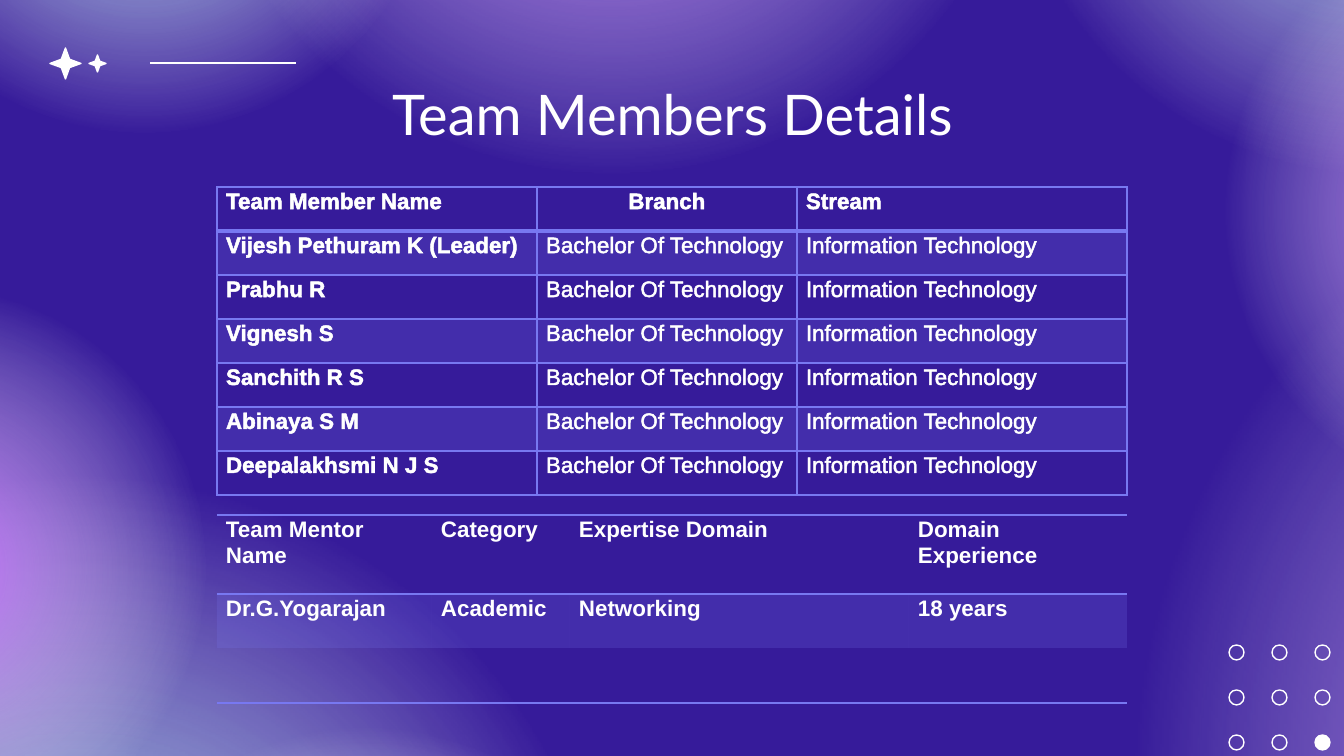
from lxml import etree
from pptx import Presentation
from pptx import util as u
from pptx.dml.color import RGBColor
from pptx.enum import shapes, text
from pptx.oxml import ns

PX = 914400 / 134.4
INDIGO = RGBColor(0x36, 0x1B, 0x9A)
PERIWINKLE = RGBColor(0x78, 0x78, 0xF1)
AQUA = RGBColor(0x9A, 0xDE, 0xE7)
VIOLET = RGBColor(0xC5, 0x68, 0xFF)
WHITE = RGBColor(0xFF, 0xFF, 0xFF)

GLOWS = [
    (-582, 348, 1324, 1324, AQUA, 57),
    (829, -567, 1101, 730, AQUA, 57),
    (0, 657, 734, 734, AQUA, 57),
    (1027, 0, 1571, 1571, VIOLET, 61),
    (116, -749, 991, 991, VIOLET, 61),
    (-403, 242, 653, 653, VIOLET, 61),
    (-223, -530, 734, 734, AQUA, 57),
    (1177, -137, 695, 695, VIOLET, 61),
]
MEMBERS = [
    "Vijesh Pethuram K (Leader)", "Prabhu R", "Vignesh S",
    "Sanchith R S", "Abinaya S M", "Deepalakhsmi N J S",
]
MEMBER_ROWS = [["Team Member Name", "Branch", "Stream"]] + [
    [name, "Bachelor Of Technology", "Information Technology"] for name in MEMBERS
]
MENTOR_ROWS = [
    ["Team Mentor Name", "Category", "Expertise Domain", "Domain Experience"],
    ["Dr.G.Yogarajan", "Academic", "Networking", "18 years"],
    [""] * 4,
]


def px(*lengths):
    return [u.Emu(round(length * PX)) for length in lengths]


def add_xml(parent, tag, **attributes):
    return etree.SubElement(parent, ns.qn(tag), attributes)


def add_line_xml(parent, index, tag, points, color):
    line = etree.Element(ns.qn(tag), w=str(u.Pt(points)))
    if points:
        add_xml(add_xml(line, "a:solidFill"), "a:srgbClr", val=str(color))
    else:
        add_xml(line, "a:noFill")
    parent.insert(index, line)


def write(frame, words, font="Arial", size=12, bold=False, color=WHITE,
          align=text.PP_ALIGN.LEFT, spacing=1.0, after=0, outline=0):
    para = frame.paragraphs[0]
    para.alignment = align
    para.line_spacing = spacing
    para.space_before = u.Pt(0)
    para.space_after = u.Pt(after)
    span = para.add_run()
    span.text = words
    span.font.name = font
    span.font.size = u.Pt(size)
    span.font.bold = bold
    span.font.color.rgb = color
    if outline:
        add_line_xml(span.font._element, 0, "a:ln", outline, color)


def add_plain(page, kind, box, fill=None, line=None):
    shape = page.shapes.add_shape(kind, *px(*box))
    shape.shadow.inherit = False
    if fill is None:
        shape.fill.background()
    else:
        shape.fill.solid()
        shape.fill.fore_color.rgb = fill
    if line is None:
        shape.line.fill.background()
    else:
        shape.line.color.rgb = line
        shape.line.width = u.Pt(0.75)
    return shape


def add_glows(page, left, top):
    for x, y, width, height, color, fade in GLOWS:
        glow = add_plain(page, shapes.MSO_SHAPE.OVAL, (left + x, top + y, width, height))
        glow.rotation = 90
        properties = glow._element.spPr
        empty = properties.find(ns.qn("a:noFill"))
        gradient = etree.Element(ns.qn("a:gradFill"))
        stops = add_xml(gradient, "a:gsLst")
        for position, shade, alpha in ((0, color, 100), (fade, WHITE, 0), (100, WHITE, 0)):
            stop = add_xml(stops, "a:gs", pos=str(position * 1000))
            tint = add_xml(stop, "a:srgbClr", val=str(shade))
            add_xml(tint, "a:alpha", val=str(alpha * 1000))
        circle = add_xml(gradient, "a:path", path="circle")
        add_xml(circle, "a:fillToRect", l="50000", t="50000", r="50000", b="50000")
        properties.replace(empty, gradient)


def add_sparkles(page, left, top):
    for x, y, size in ((0, 0, 31), (39, 7, 17)):
        star = add_plain(page, shapes.MSO_SHAPE.STAR_4_POINT,
                         (left + x, top + y, size, size), WHITE, WHITE)
        star.adjustments[0] = 0.19
    rule = page.shapes.add_connector(
        shapes.MSO_CONNECTOR.STRAIGHT, *px(left + 100, top + 15, left + 246, top + 15))
    rule.line.color.rgb = WHITE
    rule.line.width = u.Pt(1.5)
    add_xml(rule._element.spPr, "a:effectLst")


def add_rings(page, left, top, count=3):
    for row in range(count):
        for column in range(count):
            last = row == column == count - 1
            add_plain(page, shapes.MSO_SHAPE.OVAL,
                      (left + column * 43, top + row * 45, 15, 15),
                      WHITE if last else None, WHITE)


def add_title(page, words, box):
    title = page.shapes.title
    title.left, title.top, title.width, title.height = px(*box)
    frame = title.text_frame
    frame.word_wrap = True
    frame.auto_size = text.MSO_AUTO_SIZE.NONE
    frame.vertical_anchor = text.MSO_ANCHOR.TOP
    frame.margin_left = frame.margin_right = u.Inches(0.1)
    frame.margin_top = frame.margin_bottom = u.Inches(0.1)
    write(frame, words, font="Lato", size=30, align=text.PP_ALIGN.CENTER)


def add_grid(page, left, top, rows, widths, heights, rules, sides, style):
    frame = page.shapes.add_table(
        len(rows), len(widths), *px(left, top, sum(widths), sum(heights)))
    table = frame.table
    table.first_row = table.horz_banding = False
    for column, width in zip(table.columns, px(*widths)):
        column.width = width
    for row, height in zip(table.rows, px(*heights)):
        row.height = height
    for r, row in enumerate(rows):
        for c, words in enumerate(row):
            cell = table.cell(r, c)
            cell.margin_left = cell.margin_right = px(9)[0]
            cell.margin_top = cell.margin_bottom = 0
            properties = cell._tc.get_or_add_tcPr()
            if r % 2:
                cell.fill.solid()
                cell.fill.fore_color.rgb = PERIWINKLE
                tint = properties.find(".//" + ns.qn("a:srgbClr"))
                add_xml(tint, "a:alpha", val="20000")
            else:
                cell.fill.background()
            borders = zip(("a:lnL", "a:lnR", "a:lnT", "a:lnB"),
                          (sides, sides, rules[r], rules[r + 1]))
            for index, (tag, points) in enumerate(borders):
                add_line_xml(properties, index, tag, points, PERIWINKLE)
            if words:
                write(cell.text_frame, words, spacing=1.07, after=8, **style(r, c))


def member_style(row, column):
    align = text.PP_ALIGN.LEFT
    if column == 1:
        align = text.PP_ALIGN.JUSTIFY if row else text.PP_ALIGN.CENTER
    return {"bold": row == 0 or column == 0, "align": align, "outline": 0.75}


def mentor_style(row, column):
    return {"bold": True}


def main():
    deck = Presentation()
    deck.slide_width, deck.slide_height = px(1344, 756)
    page = deck.slides.add_slide(deck.slide_layouts[5])
    page.background.fill.solid()
    page.background.fill.fore_color.rgb = INDIGO
    add_glows(page, 0, 0)
    add_sparkles(page, 50, 48)
    add_rings(page, 1229, 645)
    add_title(page, "Team Members Details", (106, 66, 1133, 85))
    title = page.shapes.title._element
    title.getparent().append(title)
    add_grid(page, 217, 187, MEMBER_ROWS, [320, 260, 330], [44] * 7,
             [1, 2] + [1] * 6, 1, member_style)
    add_grid(page, 217, 515, MENTOR_ROWS, [215, 138, 339, 218], [79, 54, 55],
             [1, 1, 0, 1], 0, mentor_style)
    deck.save("out.pptx")


if __name__ == "__main__":
    main()
